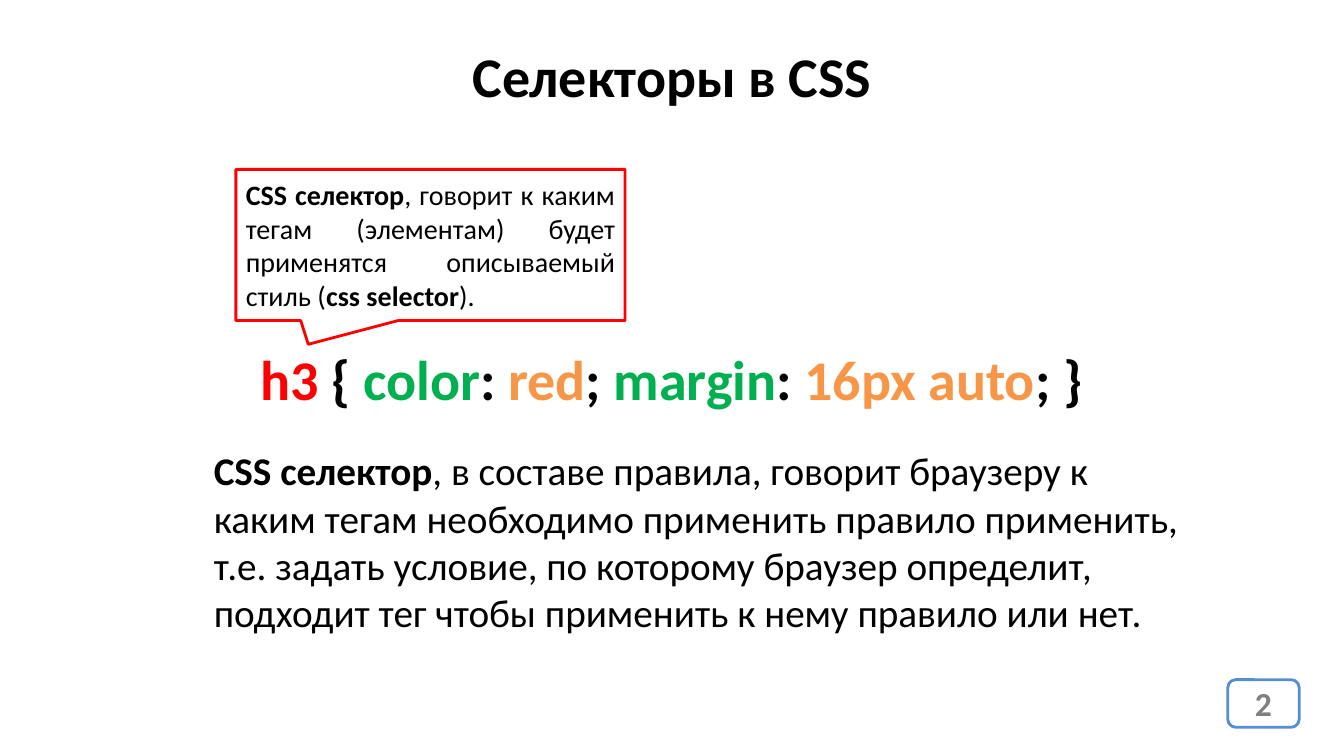
from dataclasses import dataclass

from pptx import Presentation
from pptx.dml.color import RGBColor
from pptx.enum.shapes import MSO_SHAPE
from pptx.enum.text import MSO_ANCHOR, MSO_AUTO_SIZE, PP_ALIGN
from pptx.oxml.ns import qn
from pptx.util import Pt


@dataclass(frozen=True)
class Theme:
    font: str = "Calibri"
    text: str = "000000"
    selector: str = "FF0000"
    prop: str = "00B050"
    value: str = "F79646"
    number: str = "808080"
    number_border: str = "558ED5"
    paper: str = "FFFFFF"
    heading_size: int = 40
    body_size: int = 28
    number_size: int = 24
    note_size: int = 20
    border: int = 2


THEME = Theme()

# Content: runs are (text, bold, colour)
TITLE = [("Селекторы в CSS", True, THEME.text)]
RULE = [
    ("h3 ", True, THEME.selector),
    ("{ ", True, THEME.text),
    ("color", True, THEME.prop),
    (": ", True, THEME.text),
    ("red", True, THEME.value),
    ("; ", True, THEME.text),
    ("margin", True, THEME.prop),
    (": ", True, THEME.text),
    ("16px auto", True, THEME.value),
    ("; }", True, THEME.text),
]
EXPLANATION = [
    ("CSS селектор", True, THEME.text),
    (", в составе правила, говорит браузеру к каким тегам необходимо применить "
     "правило применить, т.е. задать условие, по которому браузер определит, "
     "подходит тег чтобы применить к нему правило или нет.", False, THEME.text),
]
NOTE = [
    ("CSS селектор", True, THEME.text),
    (", говорит к каким тегам (элементам) будет применятся описываемый стиль (",
     False, THEME.text),
    ("css selector", True, THEME.text),
    (").", False, THEME.text),
]
PAGE_NUMBER = [("2", True, THEME.number)]

# Layout in points: left, top, width, height
SLIDE_SIZE = (960, 540)
TITLE_BOX = (0, 26, 960, 55.5)
NUMBER_BOX = (877, 485.5, 51, 34)
EXPLANATION_BOX = (145.5, 315.5, 708.5, 143)
RULE_BOX = (175.5, 242.5, 608, 55.5)
NOTE_BOX = (168.5, 121, 278, 108)
NOTE_TIP = (-0.314, 0.657)


def in_points(box):
    return [Pt(length) for length in box]


def place(holder, box):
    holder.left, holder.top, holder.width, holder.height = in_points(box)


def write(holder, runs, size, align, anchor=MSO_ANCHOR.TOP, wrap=True):
    frame = holder.text_frame
    frame.auto_size = MSO_AUTO_SIZE.NONE
    frame.word_wrap = wrap
    frame.vertical_anchor = anchor
    paragraph = frame.paragraphs[0]
    paragraph.alignment = align
    paragraph.space_before = Pt(0)
    for text, bold, colour in runs:
        run = paragraph.add_run()
        run.text = text
        run.font.name = THEME.font
        run.font.size = Pt(size)
        run.font.bold = bold
        run.font.color.rgb = RGBColor.from_string(colour)
    return paragraph


def add_frame(slide, preset, box, border):
    frame = slide.shapes.add_shape(preset, *in_points(box))
    frame.shadow.inherit = False
    frame.line.color.rgb = RGBColor.from_string(border)
    frame.line.width = Pt(THEME.border)
    return frame


def main():
    deck = Presentation()
    deck.slide_width, deck.slide_height = in_points(SLIDE_SIZE)
    slide = deck.slides.add_slide(deck.slide_layouts[1])

    # Title
    title = slide.shapes.title
    place(title, TITLE_BOX)
    write(title, TITLE, THEME.heading_size, PP_ALIGN.CENTER)

    # Explanation, without the bullet of the template
    explanation = slide.placeholders[1]
    place(explanation, EXPLANATION_BOX)
    paragraph = write(explanation, EXPLANATION, THEME.body_size, PP_ALIGN.LEFT)
    properties = paragraph._p.get_or_add_pPr()
    properties.set("marL", "0")
    properties.set("indent", "0")
    properties.append(properties.makeelement(qn("a:buNone"), {}))

    # Page number
    number = add_frame(slide, MSO_SHAPE.ROUNDED_RECTANGLE, NUMBER_BOX,
                       THEME.number_border)
    number.fill.solid()
    number.fill.fore_color.rgb = RGBColor.from_string(THEME.paper)
    write(number, PAGE_NUMBER, THEME.number_size, PP_ALIGN.CENTER,
          MSO_ANCHOR.MIDDLE)

    # CSS rule
    rule = slide.shapes.add_textbox(*in_points(RULE_BOX))
    write(rule, RULE, THEME.heading_size, PP_ALIGN.CENTER, wrap=False)

    # Callout pointing at the selector
    note = add_frame(slide, MSO_SHAPE.RECTANGULAR_CALLOUT, NOTE_BOX,
                     THEME.selector)
    note.fill.background()
    for index, offset in enumerate(NOTE_TIP):
        note.adjustments[index] = offset
    write(note, NOTE, THEME.note_size, PP_ALIGN.JUSTIFY, MSO_ANCHOR.MIDDLE)

    deck.save("out.pptx")


if __name__ == "__main__":
    main()
